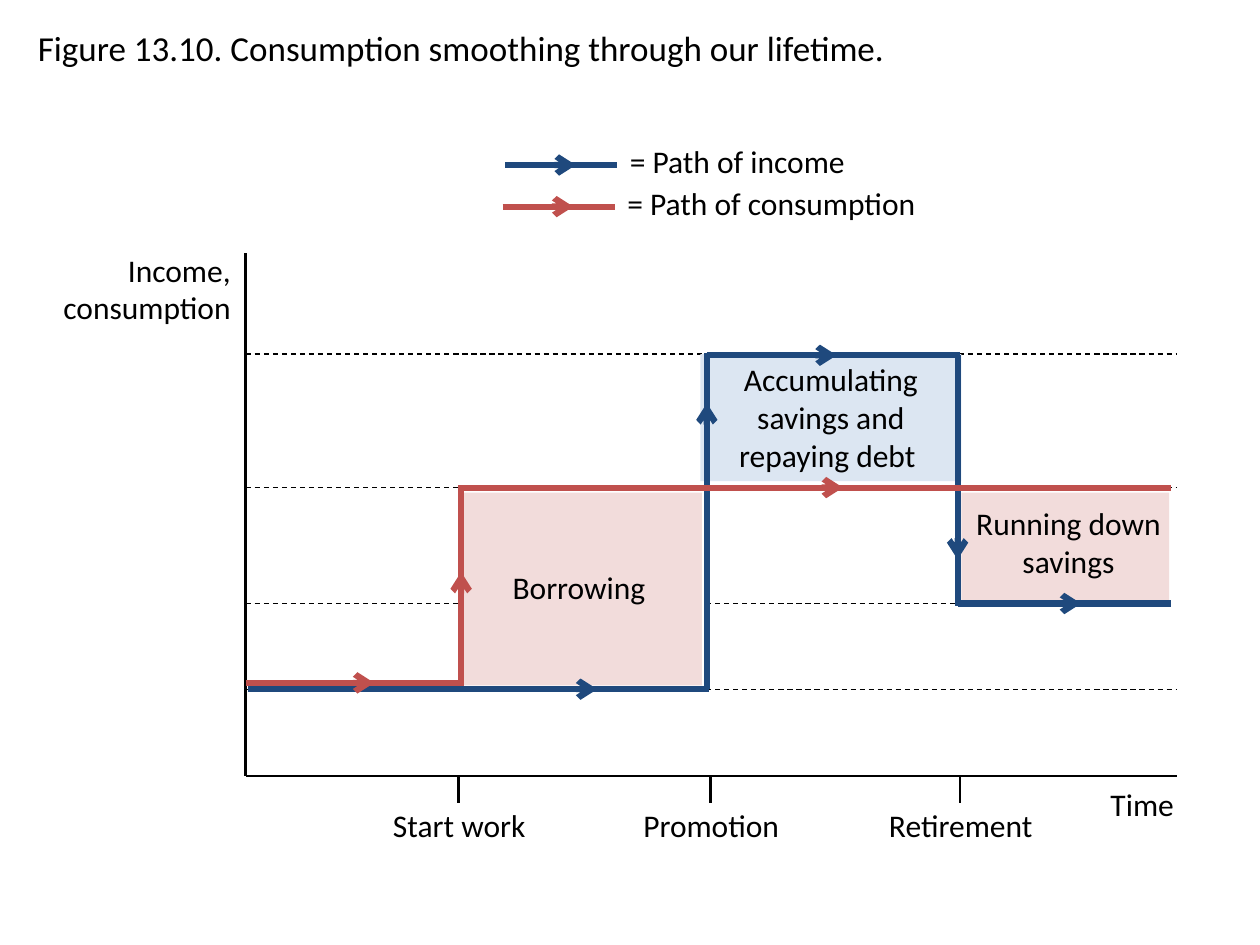
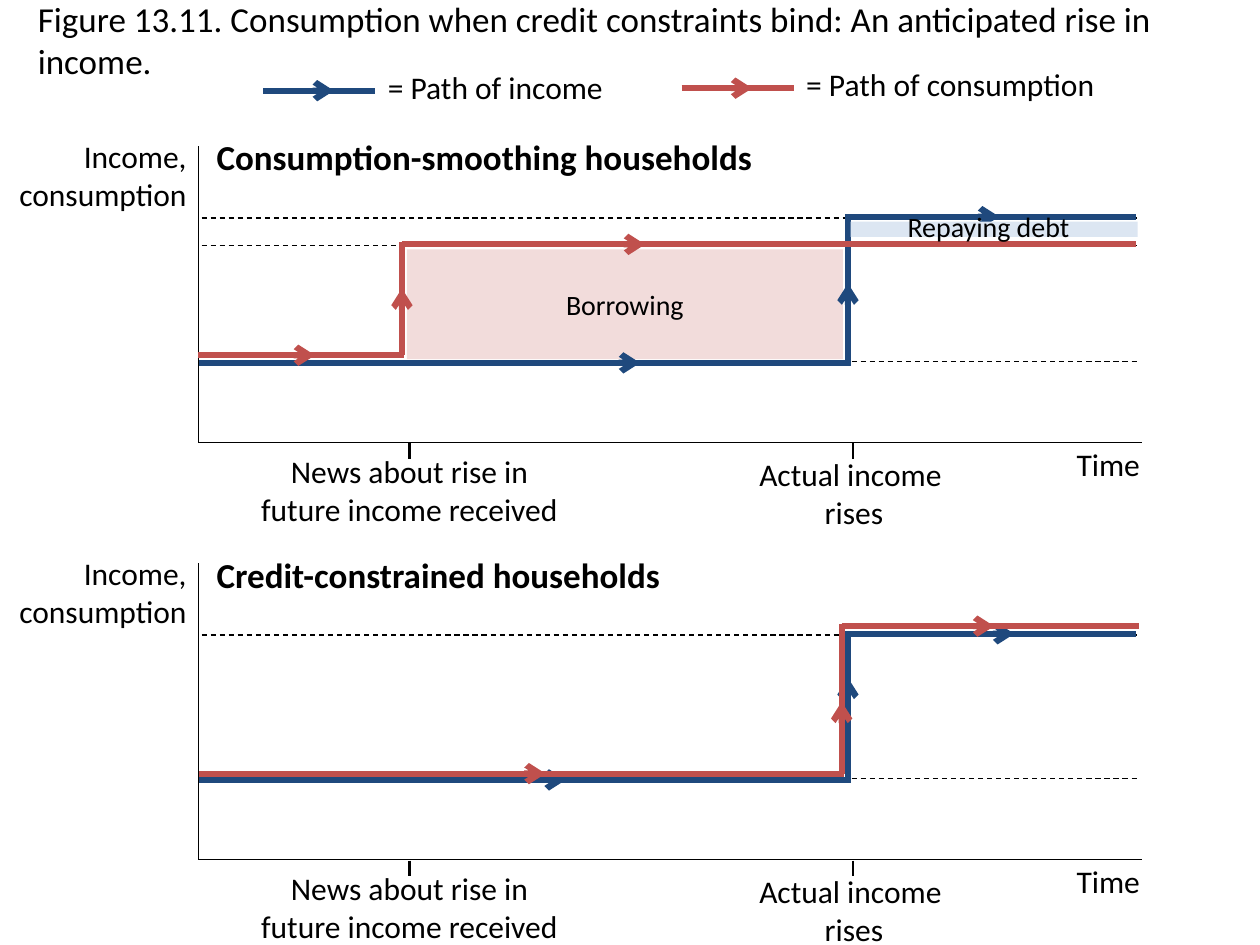
from itertools import pairwise

from lxml.etree import SubElement
from pptx import Presentation
from pptx.dml.color import RGBColor
from pptx.enum.dml import MSO_LINE
from pptx.enum.shapes import MSO_CONNECTOR, MSO_SHAPE
from pptx.enum.text import MSO_ANCHOR, MSO_AUTO_SIZE, PP_ALIGN
from pptx.oxml.ns import qn
from pptx.util import Inches, Pt

# Shared style
FONT = "Calibri"
BLACK, WHITE = "000000", "FFFFFF"
INCOME, CONSUMPTION = "1F497D", "C0504D"
DEBT, SAVING = "F2DCDB", "DCE6F2"
PATH_WIDTH = 3.5
CORNER = 0.02  # overlap that closes the corners of a path
PANEL_STEP = 3.31  # distance between the two panels of Figure 13.11


def color(hex_value):
    return RGBColor.from_string(hex_value)


def write(shape, text, size=18, align=PP_ALIGN.LEFT, bold=False):
    """Fill a shape with paragraphs in the shared text style."""
    frame = shape.text_frame
    frame.text = text
    frame.word_wrap = True
    frame.vertical_anchor = MSO_ANCHOR.TOP
    frame.auto_size = MSO_AUTO_SIZE.SHAPE_TO_FIT_TEXT
    for paragraph in frame.paragraphs:
        paragraph.alignment = align
        paragraph.font.name = FONT
        paragraph.font.size = Pt(size)
        paragraph.font.bold = bold
        paragraph.font.color.rgb = color(BLACK)
    return frame


def label(slide, text, left, top, width, height=0.4, **style):
    box = slide.shapes.add_textbox(*map(Inches, (left, top, width, height)))
    return write(box, text, **style)


def centered(slide, text, left, top, width, height=0.4, size=18):
    return label(slide, text, left, top, width, height, size=size, align=PP_ALIGN.CENTER)


def figure_slide(deck, title, top, height):
    slide = deck.slides.add_slide(deck.slide_layouts[5])
    heading = slide.shapes.title
    heading.left, heading.top = Inches(0.2), Inches(top)
    heading.width, heading.height = Inches(9.53), Inches(height)
    write(heading, title, size=20)
    return slide


def region(slide, fill, left, top, width, height):
    area = slide.shapes.add_shape(MSO_SHAPE.RECTANGLE, *map(Inches, (left, top, width, height)))
    area.shadow.inherit = False
    area.fill.solid()
    area.fill.fore_color.rgb = color(fill)
    area.line.fill.background()
    return area


def line(slide, start, end, width, stroke=BLACK, dashed=False, arrow=False):
    """Draw a straight line; an arrow points at its start."""
    connector = slide.shapes.add_connector(MSO_CONNECTOR.STRAIGHT, *map(Inches, (*start, *end)))
    connector.line.width = Pt(width)
    connector.line.color.rgb = color(stroke)
    if dashed:
        connector.line.dash_style = MSO_LINE.DASH
    properties = connector._element.spPr
    if arrow:
        SubElement(properties.find(qn("a:ln")), qn("a:headEnd"), type="arrow")
    SubElement(properties, qn("a:effectLst"))


def level(slide, y, left, right):
    line(slide, (left, y), (right, y), 0.75, dashed=True)


def axes(slide, left, top, right, bottom, width):
    line(slide, (left, top), (left, bottom), width)
    line(slide, (right, bottom), (left, bottom), width)


def tick(slide, x, y, length):
    line(slide, (x, y), (x, y + length), 1.5)


def stepped_path(slide, stroke, corners, tips):
    """Join the corners; each segment has an arrow tip at the given coordinate."""
    for ((x1, y1), (x2, y2)), tip in zip(pairwise(corners), tips):
        if y1 == y2:
            end, arrow_tip = (x2 + CORNER, y2), (tip, y1)
        else:
            end, arrow_tip = (x2, y2 + (CORNER if y2 > y1 else -CORNER)), (x1, tip)
        line(slide, (x1, y1), end, PATH_WIDTH, stroke)
        line(slide, arrow_tip, (x1, y1), PATH_WIDTH, stroke, arrow=True)


def legend(slide, stroke, text, left, y, width):
    stepped_path(slide, stroke, [(left, y), (left + 0.87, y)], [left + 0.56])
    label(slide, text, left + 0.89, y - 0.23, width)


def axis_names(slide, left, top, time_left, time_top):
    label(slide, "Income, consumption", left, top, 1.97, 0.71, align=PP_ALIGN.RIGHT)
    centered(slide, "Time", time_left, time_top, 1.01)


def lifetime_figure(deck):
    slide = figure_slide(
        deck, "Figure 13.10. Consumption smoothing through our lifetime.", 0.16, 0.44)

    # Income levels and areas between the paths
    for y in (2.81, 3.87, 4.79, 5.47):
        level(slide, y, 1.95, 9.34 if y != 4.79 else 9.26)
    region(slide, DEBT, 3.68, 3.91, 1.89, 1.53)
    label(slide, "Borrowing", 3.97, 4.46, 1.33)
    region(slide, DEBT, 7.63, 3.91, 1.65, 0.87)
    centered(slide, "Running down savings", 7.64, 3.95, 1.68, 0.71)
    accumulating = region(slide, SAVING, 5.56, 2.81, 2.07, 1.01)
    write(accumulating, "Accumulating savings and repaying debt ", align=PP_ALIGN.CENTER)

    # Axes and life events
    axes(slide, 1.95, 2.01, 9.34, 6.16, 1.5)
    axis_names(slide, -0.04, 1.94, 8.56, 6.18)
    for event, x in (("Start work", 3.64), ("Promotion", 5.64), ("Retirement", 7.62)):
        tick(slide, x, 6.17, 0.2)
        centered(slide, event, x - 0.98, 6.35, 1.97)

    # Paths and legend
    stepped_path(
        slide, INCOME,
        [(1.97, 5.47), (5.61, 5.47), (5.61, 2.82), (7.6, 2.82), (7.6, 4.79), (9.27, 4.79)],
        [4.74, 3.2, 6.64, 4.44, 8.58])
    stepped_path(
        slide, CONSUMPTION,
        [(1.95, 5.42), (3.66, 5.42), (3.66, 3.87), (9.27, 3.87)],
        [2.97, 4.54, 6.69])
    legend(slide, INCOME, "= Path of income", 4.01, 1.31, 2.07)
    legend(slide, CONSUMPTION, "= Path of consumption", 3.99, 1.64, 2.72)


def household_panel(slide, heading, shift):
    """Axes, levels and events common to both kinds of household."""
    for y in (1.73, 2.87):
        level(slide, y + shift, 1.6, 9.05)
    axes(slide, 1.57, 1.16 + shift, 9.06, 3.51 + shift, 0.25)
    label(slide, heading, 1.62, 1.03 + shift, 7.22, 0.44, size=20, bold=True)
    axis_names(slide, -0.39, 1.04 + shift, 8.29, 3.48 + shift)
    events = (
        ("News about rise in future income received", 3.25, 1.87, 3.54),
        ("Actual income\n rises", 6.77, 5.37, 3.56),
    )
    for event, x, left, top in events:
        tick(slide, x, 3.52 + shift, 0.12)
        centered(slide, event, left, top + shift, 2.76, 0.71)


def credit_figure(deck):
    slide = figure_slide(
        deck,
        "Figure 13.11. Consumption when credit constraints bind: "
        "An anticipated rise in income.", -0.07, 0.77)
    legend(slide, INCOME, "= Path of income", 2.09, 0.72, 2.07)
    legend(slide, CONSUMPTION, "= Path of consumption", 5.41, 0.7, 2.72)

    # Consumption-smoothing households
    borrowing = region(slide, DEBT, 3.23, 1.98, 3.46, 0.87)
    frame = write(borrowing, "Borrowing", size=16, align=PP_ALIGN.CENTER)
    frame.auto_size = MSO_AUTO_SIZE.NONE
    frame.vertical_anchor = MSO_ANCHOR.MIDDLE
    household_panel(slide, "Consumption-smoothing households", 0)
    level(slide, 1.95, 1.6, 9.04)
    stepped_path(
        slide, INCOME,
        [(1.58, 2.88), (6.73, 2.88), (6.73, 1.72), (9, 1.72)],
        [5.08, 2.25, 7.93])
    stepped_path(
        slide, CONSUMPTION,
        [(1.57, 2.82), (3.19, 2.82), (3.19, 1.94), (9, 1.94)],
        [2.5, 2.29, 5.12])
    region(slide, SAVING, 6.75, 1.76, 2.28, 0.12)
    repaying = centered(slide, "Repaying debt ", 6.73, 1.66, 2.28, 0.27, size=16)
    repaying.margin_left = repaying.margin_right = 0
    repaying.margin_top = repaying.margin_bottom = 0

    # Credit-constrained households
    household_panel(slide, "Credit-constrained households", PANEL_STEP)
    stepped_path(
        slide, INCOME,
        [(1.58, 6.19), (6.73, 6.19), (6.73, 5.03), (9, 5.03)],
        [4.49, 5.38, 8.05])
    stepped_path(
        slide, CONSUMPTION,
        [(1.58, 6.14), (6.68, 6.14), (6.68, 4.97), (9.02, 4.97)],
        [4.33, 5.57, 7.89])


def main():
    deck = Presentation()
    deck.slide_width, deck.slide_height = Inches(10), Inches(7.5)
    lifetime_figure(deck)
    credit_figure(deck)
    deck.save("out.pptx")


main()
